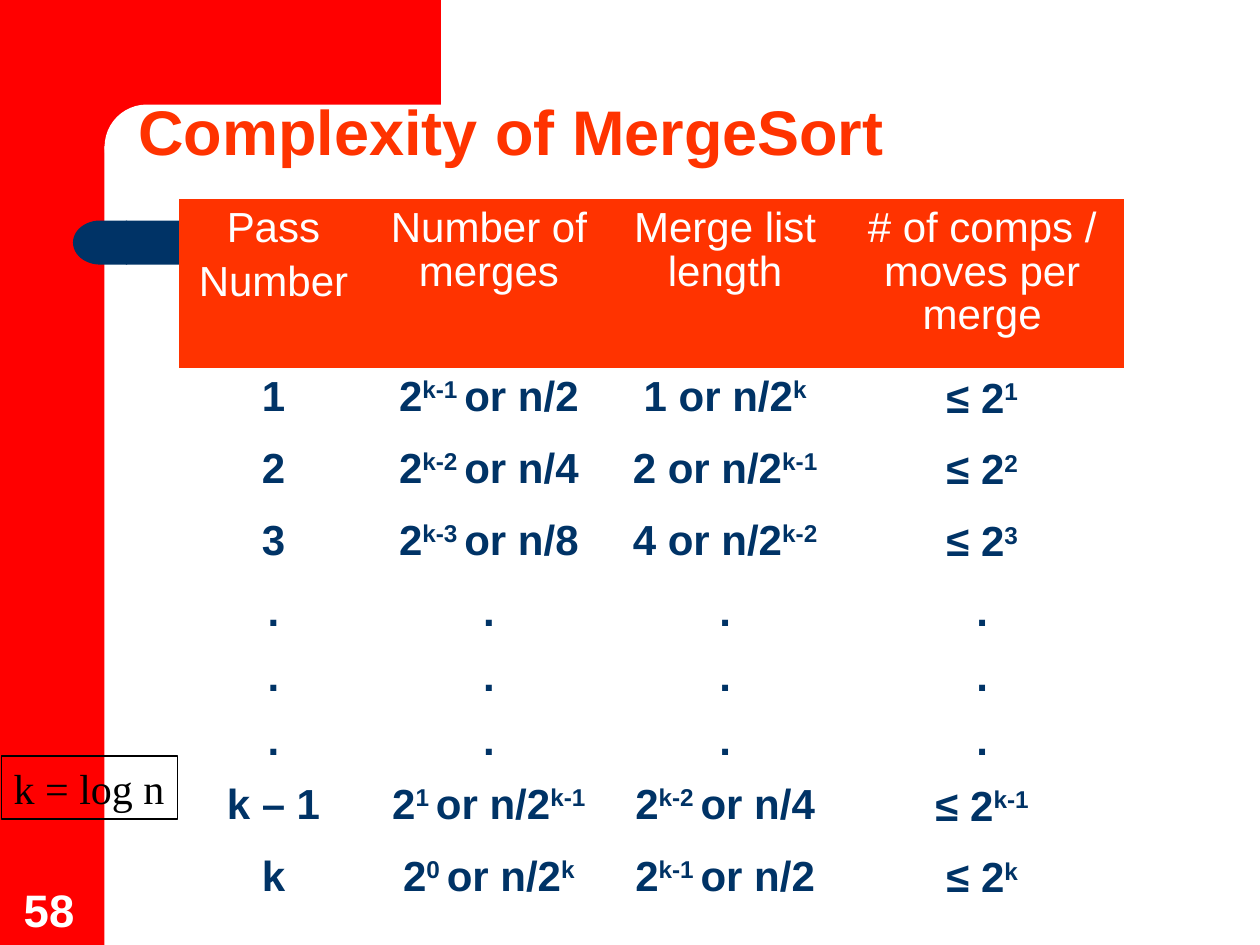
from dataclasses import dataclass

from pptx import Presentation
from pptx.dml.color import RGBColor
from pptx.enum.shapes import MSO_SHAPE as Shape
from pptx.enum.text import MSO_ANCHOR as Anchor, PP_ALIGN as Align
from pptx.util import Inches, Pt

TITLE = "Complexity of MergeSort"
PAGE_NUMBER = "58"
NOTE = "k = log n"
HEADERS = ["Pass\nNumber", "Number of merges", "Merge list length",
           "# of comps / moves per merge"]
DOTS = [".", ".", ".", "."]
PASSES = [
    ["1", "2^k-1 ^or n/2", "1 or n/2^k", "≤ 2^1"],
    ["2", "2^k-2 ^or n/4", "2 or n/2^k-1", "≤ 2^2"],
    ["3", "2^k-3 ^or n/8", "4 or n/2^k-2", "≤ 2^3"],
    DOTS,
    DOTS,
    DOTS,
    ["k – 1", "2^1 ^or n/2^k-1", "2^k-2 ^or n/4", "≤ 2^k-1"],
    ["k", "2^0 ^or n/2^k", "2^k-1 ^or n/2", "≤ 2^k"],
]
COLUMN_WIDTHS = [1.5, 1.92, 1.83, 2.25]
HEADER_HEIGHT, PASS_HEIGHT, DOT_HEIGHT = 1.34, 0.57, 0.51
TABLE_LEFT, TABLE_TOP = 1.42, 1.58
PLAIN_TABLE_STYLE = "{2D5ABB26-0587-4C30-8999-92F81FD0307C}"


@dataclass(frozen=True)
class Theme:
    red: str = "FF0000"
    orange: str = "FF3300"
    navy: str = "003366"
    white: str = "FFFFFF"
    black: str = "000000"
    sans: str = "Arial"
    serif: str = "Times New Roman"
    title: int = 36
    number: int = 26
    body: int = 24


THEME = Theme()

BACKDROP = [
    (Shape.RECTANGLE, (0, 0, 0.83, 7.5), THEME.red),
    (Shape.RECTANGLE, (0.75, 0, 2.75, 1.16), THEME.red),
    (Shape.ROUNDED_RECTANGLE, (0.83, 0.83, 5.58, 0.67), THEME.white),
    (Shape.RECTANGLE, (1, 1.75, 7.66, 0.35), THEME.navy),
    (Shape.FLOWCHART_DELAY, (0.58, 1.75, 0.43, 0.35), THEME.navy),
]


def add_block(page, kind, place, fill=None):
    block = page.shapes.add_shape(kind, *map(Inches, place))
    block.shadow.inherit = False
    block.line.fill.background()
    if fill:
        block.fill.solid()
        block.fill.fore_color.rgb = RGBColor.from_string(fill)
    else:
        block.fill.background()
    if kind == Shape.ROUNDED_RECTANGLE:
        block.adjustments[0] = 0.5
    if kind == Shape.FLOWCHART_DELAY:
        block.element.spPr.get_or_add_xfrm().set("flipH", "1")
    return block


def write(frame, text, size, color, bold=True, font=THEME.sans,
          align=Align.LEFT, spacing=None):
    for index, line in enumerate(text.split("\n")):
        para = frame.add_paragraph() if index else frame.paragraphs[0]
        para.alignment = align
        if spacing:
            para.line_spacing = spacing
        if index:
            para.space_before = Pt(6)
        for position, part in enumerate(line.split("^")):
            span = para.add_run()
            span.text = part
            span.font.name = font
            span.font.size = Pt(size)
            span.font.bold = bold
            span.font.color.rgb = RGBColor.from_string(color)
            if position % 2:
                span.font._element.set("baseline", "30000")


def add_label(page, place, text, size, color, spacing=None):
    box = page.shapes.add_textbox(*map(Inches, place))
    box.text_frame.word_wrap = True
    box.text_frame.vertical_anchor = Anchor.BOTTOM
    write(box.text_frame, text, size, color, spacing=spacing)


def add_pass_table(page):
    rows = [HEADERS] + PASSES
    heights = [HEADER_HEIGHT] + [DOT_HEIGHT if row is DOTS else PASS_HEIGHT
                                 for row in PASSES]
    holder = page.shapes.add_table(
        len(rows), len(COLUMN_WIDTHS), Inches(TABLE_LEFT), Inches(TABLE_TOP),
        Inches(sum(COLUMN_WIDTHS)), Inches(sum(heights)))
    table = holder.table
    table.horz_banding = False
    for style in holder.element.iter("{*}tableStyleId"):
        style.text = PLAIN_TABLE_STYLE
    for column, width in zip(table.columns, COLUMN_WIDTHS):
        column.width = Inches(width)
    for row, height, texts in zip(table.rows, heights, rows):
        row.height = Inches(height)
        is_header = texts is HEADERS
        for cell, text in zip(row.cells, texts):
            is_bound = text.startswith("≤")
            cell.margin_top = Inches(0.05 if is_bound else 0.07)
            cell.margin_bottom = Inches(0.05)
            if is_header:
                cell.fill.solid()
                cell.fill.fore_color.rgb = RGBColor.from_string(THEME.orange)
            else:
                cell.fill.background()
            write(cell.text_frame, text, THEME.body,
                  THEME.white if is_header else THEME.navy,
                  bold=not is_header, align=Align.CENTER,
                  spacing=1.02 if is_bound else 0.93)


def add_note(page):
    box = add_block(page, Shape.RECTANGLE, (0.01, 6, 1.4, 0.5))
    box.line.color.rgb = RGBColor.from_string(THEME.black)
    box.line.width = Pt(0.75)
    box.text_frame.word_wrap = False
    box.text_frame.vertical_anchor = Anchor.TOP
    write(box.text_frame, NOTE, THEME.body, THEME.black, bold=False,
          font=THEME.serif)


def main():
    deck = Presentation()
    deck.slide_width, deck.slide_height = Inches(10), Inches(7.5)
    page = deck.slides.add_slide(deck.slide_layouts[6])
    for kind, place, fill in BACKDROP:
        add_block(page, kind, place, fill)
    add_label(page, (0.09, 6.94, 0.64, 0.54), PAGE_NUMBER, THEME.number,
              THEME.white)
    add_label(page, (1, 0.75, 8.75, 0.64), TITLE, THEME.title, THEME.orange,
              spacing=0.9)
    add_pass_table(page)
    add_note(page)
    deck.save("out.pptx")


if __name__ == "__main__":
    main()
